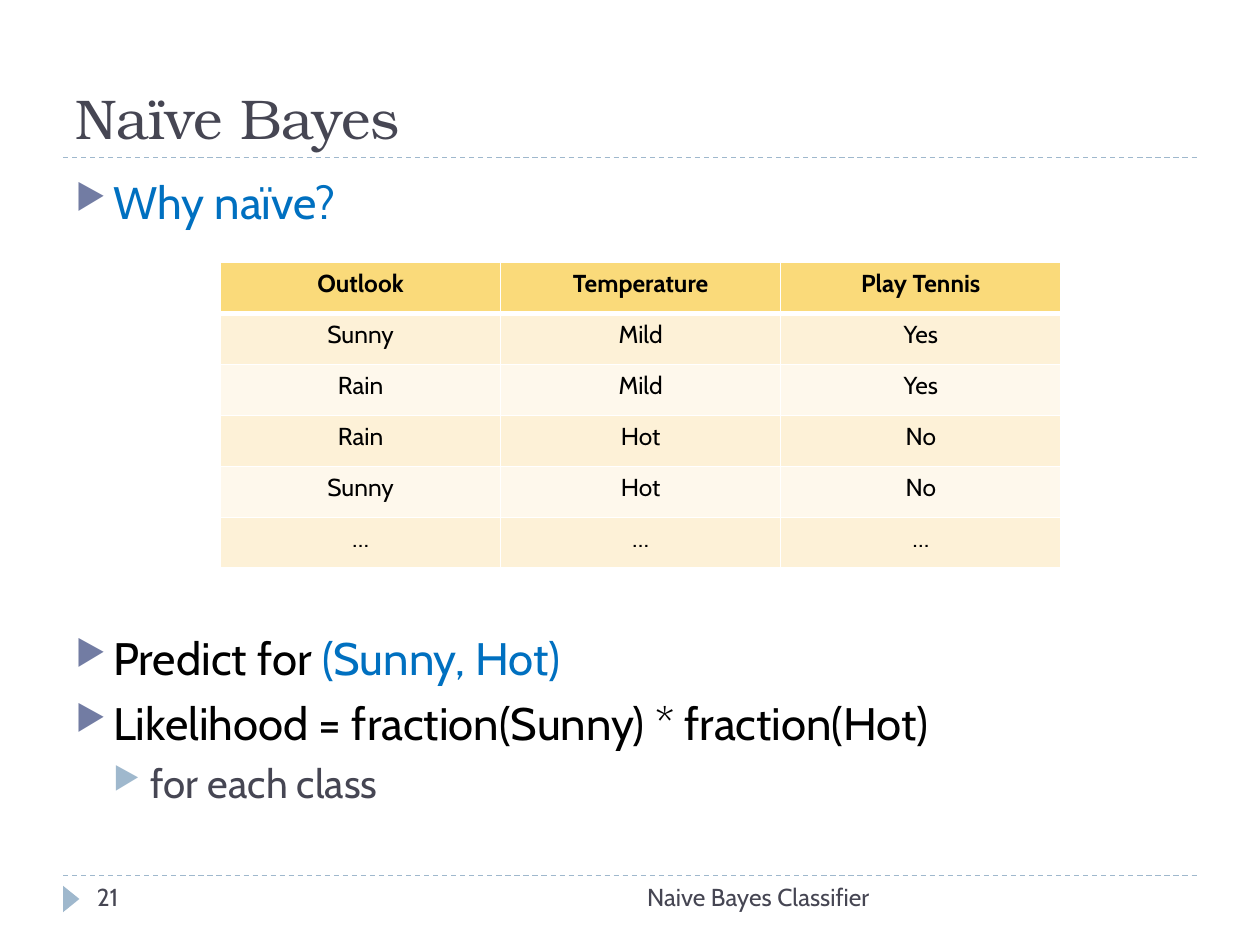
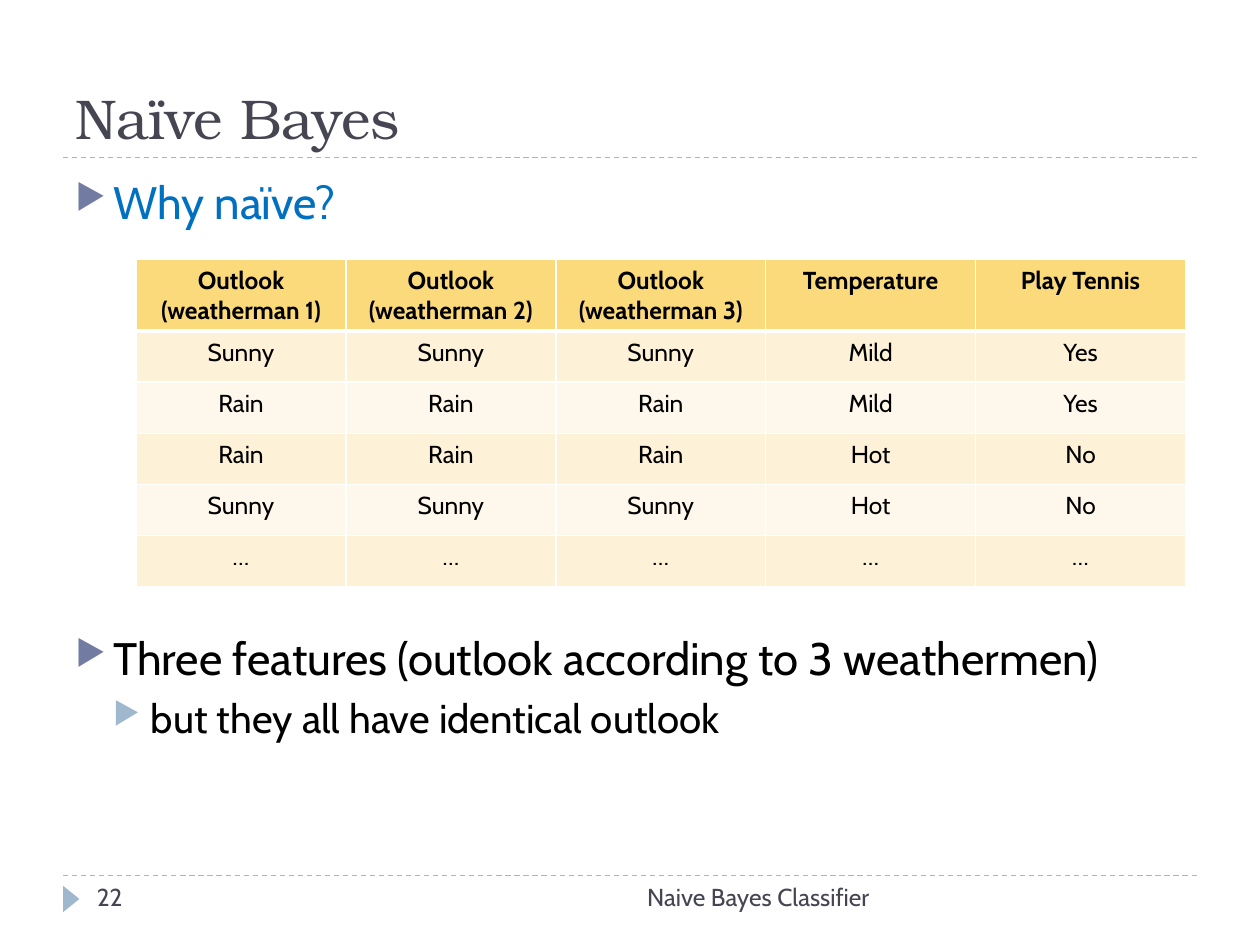
from lxml import etree
from pptx import Presentation
from pptx.dml.color import RGBColor
from pptx.enum.dml import MSO_LINE
from pptx.enum.shapes import MSO_CONNECTOR, MSO_SHAPE
from pptx.enum.text import MSO_ANCHOR, MSO_AUTO_SIZE, PP_ALIGN
from pptx.oxml.ns import qn
from pptx.util import Inches, Pt

LEFT, CENTER, RIGHT = PP_ALIGN.LEFT, PP_ALIGN.CENTER, PP_ALIGN.RIGHT
BOTTOM, NO_FIT = MSO_ANCHOR.BOTTOM, MSO_AUTO_SIZE.NONE
STRAIGHT, TRIANGLE, DASH = MSO_CONNECTOR.STRAIGHT, MSO_SHAPE.ISOSCELES_TRIANGLE, MSO_LINE.DASH

TITLE_ONLY = 5
TITLE_FONT, TEXT_FONT = "TeX Gyre Bonum", "Cabin"
SLATE, BLUE, BLACK, WHITE = "464653", "0070C0", "000000", "FFFFFF"
PALE_BLUE, VIOLET = "9FB8CD", "727CA3"
HEADER_FILL, BAND_FILLS = "FADA7A", ("FDF1D7", "FEF8EC")

BULLET_INDENT = 0.3
BULLET_COLORS = (VIOLET, PALE_BLUE)
LEVEL_SIZES = (26, 23)
LEVEL_SPACING = (6, 5)
TABLE_GAP = 229.4  # points left free in the bullet list for the table

QUESTION = (0, [("Why naïve?", BLUE)])
SINGLE_OUTLOOK = [
    ["Outlook", "Temperature", "Play Tennis"],
    ["Sunny", "Mild", "Yes"],
    ["Rain", "Mild", "Yes"],
    ["Rain", "Hot", "No"],
    ["Sunny", "Hot", "No"],
    ["…"] * 3,
]
WEATHERMEN = [f"Outlook (weatherman {number})" for number in (1, 2, 3)]
TRIPLE_OUTLOOK = [WEATHERMEN + SINGLE_OUTLOOK[0][1:]]
TRIPLE_OUTLOOK += [row[:1] * 3 + row[1:] for row in SINGLE_OUTLOOK[1:]]


def color(hex_value):
    return RGBColor.from_string(hex_value)


def set_format(target, values):
    for name, value in values.items():
        setattr(target, name, value)


def add_span(para, text, size, hex_value, font=TEXT_FONT, bold=False):
    span = para.add_run()
    span.text = text
    set_format(span.font, {"name": font, "size": Pt(size), "bold": bold})
    span.font.color.rgb = color(hex_value)


def add_box(slide, left, top, width, height):
    box = slide.shapes.add_textbox(Inches(left), Inches(top), Inches(width), Inches(height))
    box.text_frame.word_wrap = True
    return box.text_frame


def add_title(slide, text):
    title = slide.shapes.title
    set_format(title, {"left": Inches(0.5), "top": Inches(0.17),
                       "width": Inches(9), "height": Inches(1.08)})
    set_format(title.text_frame, {"vertical_anchor": BOTTOM, "auto_size": NO_FIT,
                                  "word_wrap": True})
    para = title.text_frame.paragraphs[0]
    para.alignment = LEFT
    add_span(para, text, 32, SLATE, TITLE_FONT)


def add_dashed_rule(slide, top):
    rule = slide.shapes.add_connector(STRAIGHT, Inches(0.5), Inches(top), Inches(9.5), Inches(top))
    set_format(rule.line, {"width": Pt(0.75), "dash_style": DASH})
    rule.line.color.rgb = color(PALE_BLUE)
    etree.SubElement(rule.element.spPr, qn("a:effectLst"))


def add_page_marker(slide):
    marker = slide.shapes.add_shape(TRIANGLE, Inches(0.46), Inches(7.07), Inches(0.21), Inches(0.13))
    marker.rotation = 90
    marker.shadow.inherit = False
    marker.fill.solid()
    marker.fill.fore_color.rgb = color(PALE_BLUE)
    marker.line.fill.background()


def add_footer_text(slide, text, left, width, alignment):
    para = add_box(slide, left, 6.95, width, 0.4).paragraphs[0]
    para.alignment = alignment
    add_span(para, text, 14, SLATE)


def add_bullet(para, level):
    properties = para._p.get_or_add_pPr()
    properties.set("marL", str(Inches(BULLET_INDENT * (level + 1))))
    properties.set("indent", str(-Inches(BULLET_INDENT)))
    bullet_color = etree.SubElement(properties, qn("a:buClr"))
    etree.SubElement(bullet_color, qn("a:srgbClr"), val=BULLET_COLORS[level])
    etree.SubElement(properties, qn("a:buSzPct"), val="76000")
    etree.SubElement(properties, qn("a:buChar"), char="▶")


def add_bullets(slide, bullets):
    """Write (level, [(text, colour), ...]) bullets, with the table gap after the first."""
    frame = add_box(slide, 0.5, 1.33, 9, 5.4)
    for index, (level, spans) in enumerate(bullets):
        para = frame.add_paragraph() if index else frame.paragraphs[0]
        spacing = TABLE_GAP if index == 1 else LEVEL_SPACING[level]
        set_format(para, {"level": level, "space_before": Pt(spacing)})
        add_bullet(para, level)
        for text, hex_value in spans:
            add_span(para, text, LEVEL_SIZES[level], hex_value)


def add_borders(cell, top, bottom):
    properties = cell._tc.get_or_add_tcPr()
    for side, width in (("L", 1), ("R", 1), ("T", top), ("B", bottom)):
        border = etree.SubElement(properties, qn(f"a:ln{side}"), w=str(Pt(width)))
        fill = etree.SubElement(border, qn("a:solidFill"))
        etree.SubElement(fill, qn("a:srgbClr"), val=WHITE)


def add_weather_table(slide, rows, left, top, width, height, header_height):
    table = slide.shapes.add_table(len(rows), len(rows[0]), Inches(left), Inches(top),
                                   Inches(width), Inches(height)).table
    row_height = (height - header_height) / (len(rows) - 1)
    for row_index, texts in enumerate(rows):
        is_header = row_index == 0
        table.rows[row_index].height = Inches(header_height if is_header else row_height)
        fill = HEADER_FILL if is_header else BAND_FILLS[(row_index - 1) % 2]
        for column_index, text in enumerate(texts):
            cell = table.cell(row_index, column_index)
            add_borders(cell, top=3 if row_index == 1 else 1, bottom=3 if is_header else 1)
            cell.fill.solid()
            cell.fill.fore_color.rgb = color(fill)
            para = cell.text_frame.paragraphs[0]
            para.alignment = CENTER
            add_span(para, text, 14, BLACK, bold=is_header)


def add_naive_bayes_slide(deck, number, bullets):
    slide = deck.slides.add_slide(deck.slide_layouts[TITLE_ONLY])
    for top in (6.95, 1.25):
        add_dashed_rule(slide, top)
    add_page_marker(slide)
    add_title(slide, "Naïve Bayes")
    add_footer_text(slide, "Naive Bayes Classifier", 3.17, 3.83, RIGHT)
    add_footer_text(slide, str(number), 0.67, 2.17, LEFT)
    add_bullets(slide, [QUESTION] + bullets)
    return slide


def main():
    deck = Presentation()
    set_format(deck, {"slide_width": Inches(10), "slide_height": Inches(7.5)})

    slide = add_naive_bayes_slide(deck, 21, [
        (0, [("Predict for ", BLACK), ("(Sunny, Hot)", BLUE)]),
        (0, [("Likelihood = fraction(Sunny) * fraction(Hot)", BLACK)]),
        (1, [("for each class", SLATE)]),
    ])
    add_weather_table(slide, SINGLE_OUTLOOK, 1.75, 2.08, 6.67, 2.43, header_height=0.41)

    slide = add_naive_bayes_slide(deck, 22, [
        (0, [("Three features (outlook according to 3 weathermen)", BLACK)]),
        (1, [("but they all have identical outlook", BLACK)]),
    ])
    add_weather_table(slide, TRIPLE_OUTLOOK, 1.08, 2.06, 8.33, 2.59, header_height=0.56)

    deck.save("out.pptx")


if __name__ == "__main__":
    main()
